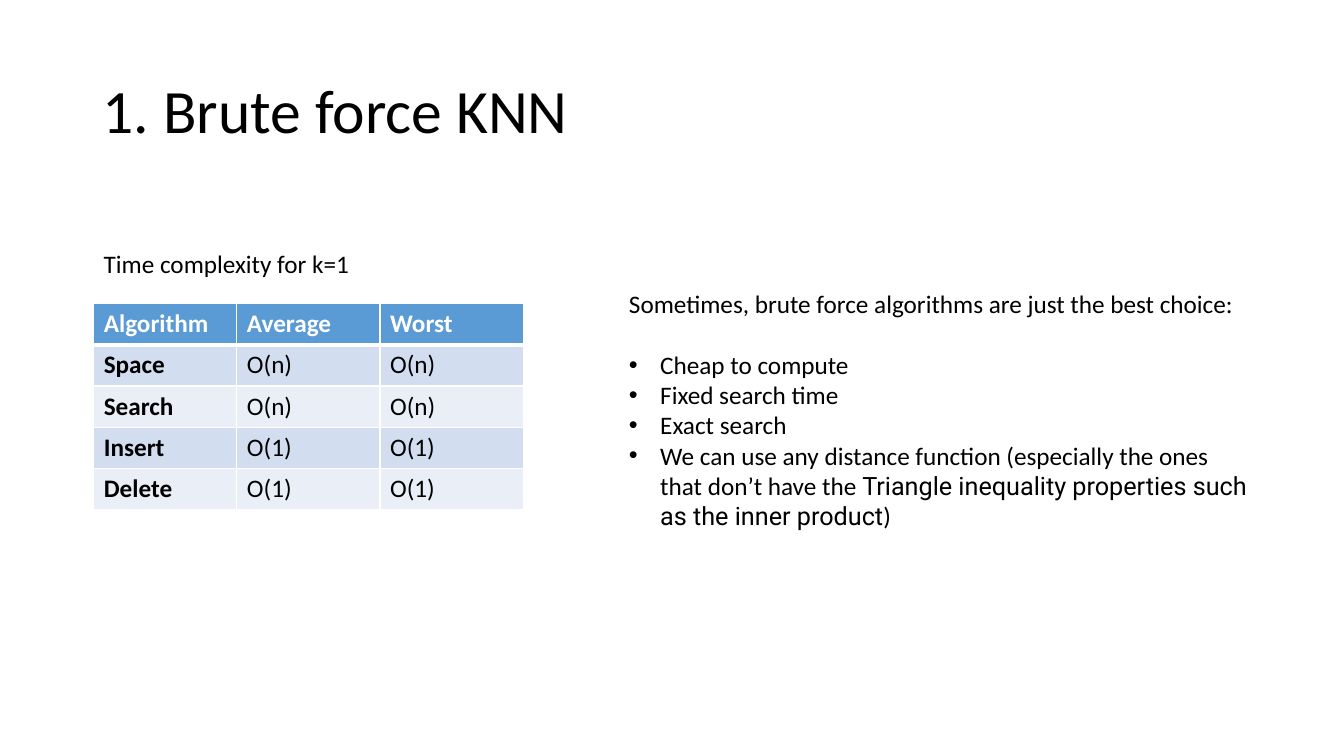
from dataclasses import dataclass

import pptx
import pptx.dml.color
import pptx.enum.text
import pptx.oxml
import pptx.oxml.ns
import pptx.util

Inches = pptx.util.Inches
Pt = pptx.util.Pt
RGBColor = pptx.dml.color.RGBColor
Anchor = pptx.enum.text.MSO_ANCHOR

BLACK = RGBColor(0x00, 0x00, 0x00)
WHITE = RGBColor(0xFF, 0xFF, 0xFF)
HEADER_BLUE = RGBColor(0x5B, 0x9B, 0xD5)
BAND_DARK = RGBColor(0xD2, 0xDE, 0xEF)
BAND_LIGHT = RGBColor(0xEA, 0xEF, 0xF7)

BODY_FONT = "Calibri"
ACCENT_FONT = "Roboto"
BODY_SIZE = 18
LINE_GAP = 22
BULLET_INDENT = Inches(0.31)
COLUMN_WIDTH = 1.42
ROW_HEIGHT = 0.41


@dataclass
class Span:
    text: str
    font: str = BODY_FONT


@dataclass
class Line:
    spans: list[Span]
    bullet: bool = False
    space_before: int = 0


@dataclass
class TextBlock:
    left: float
    top: float
    width: float
    height: float
    lines: list[Line]
    size: int = BODY_SIZE
    anchor: Anchor = Anchor.TOP
    line_spacing: float = 1.0


BLOCKS = [
    TextBlock(0.92, 0.4, 11.5, 1.45, [Line([Span("1. Brute force KNN")])],
              size=44, anchor=Anchor.MIDDLE, line_spacing=0.9),
    TextBlock(0.93, 2.41, 4.26, 0.4, [Line([Span("Time complexity for k=1")])]),
    TextBlock(6.14, 2.81, 6.4, 2.52, [
        Line([Span("Sometimes, brute force algorithms are just the best choice:")]),
        Line([Span("Cheap to compute")], bullet=True, space_before=LINE_GAP),
        Line([Span("Fixed search time")], bullet=True),
        Line([Span("Exact search")], bullet=True),
        Line([
            Span("We can use any distance function (especially the ones that don’t have the "),
            Span("Triangle inequality properties such as the inner product", ACCENT_FONT),
            Span(")"),
        ], bullet=True),
    ]),
]

COMPLEXITY = [
    ("Algorithm", "Average", "Worst"),
    ("Space", "O(n)", "O(n)"),
    ("Search", "O(n)", "O(n)"),
    ("Insert", "O(1)", "O(1)"),
    ("Delete", "O(1)", "O(1)"),
]


def add_bullet(para) -> None:
    properties = para._p.get_or_add_pPr()
    properties.set("marL", str(BULLET_INDENT))
    properties.set("indent", str(-BULLET_INDENT))
    namespace = pptx.oxml.ns.nsdecls("a")
    properties.append(pptx.oxml.parse_xml(f'<a:buFont {namespace} typeface="Arial"/>'))
    properties.append(pptx.oxml.parse_xml(f'<a:buChar {namespace} char="•"/>'))


def add_text(page, block: TextBlock) -> None:
    box = page.shapes.add_textbox(Inches(block.left), Inches(block.top),
                                  Inches(block.width), Inches(block.height))
    frame = box.text_frame
    frame.word_wrap = True
    frame.vertical_anchor = block.anchor
    for index, line in enumerate(block.lines):
        para = frame.add_paragraph() if index else frame.paragraphs[0]
        if line.bullet:
            add_bullet(para)
        para.line_spacing = block.line_spacing
        para.space_before = Pt(line.space_before)
        para.font.name = BODY_FONT
        para.font.size = Pt(block.size)
        para.font.color.rgb = BLACK
        for span in line.spans:
            run = para.add_run()
            run.text = span.text
            if span.font != BODY_FONT:
                run.font.name = span.font


def add_borders(cell, row: int) -> None:
    """Draw white cell borders, with a thick rule under the header."""
    widths = {"L": 1, "R": 1, "T": 3 if row == 1 else 1, "B": 3 if row == 0 else 1}
    properties = cell._tc.get_or_add_tcPr()
    for side, width in widths.items():
        properties.append(pptx.oxml.parse_xml(
            f'<a:ln{side} {pptx.oxml.ns.nsdecls("a")} w="{Pt(width)}">'
            f'<a:solidFill><a:srgbClr val="{WHITE}"/></a:solidFill></a:ln{side}>'))


def add_complexity_table(page, left: float, top: float) -> None:
    rows, columns = len(COMPLEXITY), len(COMPLEXITY[0])
    table = page.shapes.add_table(
        rows, columns, Inches(left), Inches(top),
        Inches(columns * COLUMN_WIDTH), Inches(rows * ROW_HEIGHT)).table
    for row, values in enumerate(COMPLEXITY):
        fill = HEADER_BLUE if row == 0 else BAND_DARK if row % 2 else BAND_LIGHT
        for column, value in enumerate(values):
            cell = table.cell(row, column)
            add_borders(cell, row)
            cell.fill.solid()
            cell.fill.fore_color.rgb = fill
            cell.text = value
            font = cell.text_frame.paragraphs[0].font
            font.name = BODY_FONT
            font.size = Pt(BODY_SIZE)
            font.bold = row == 0 or column == 0
            font.color.rgb = WHITE if row == 0 else BLACK


def main() -> None:
    deck = pptx.Presentation()
    deck.slide_width = Inches(13.33)
    deck.slide_height = Inches(7.5)
    page = deck.slides.add_slide(deck.slide_layouts[6])

    # Title, table caption and remarks
    for block in BLOCKS:
        add_text(page, block)

    # Time complexity table
    add_complexity_table(page, 0.93, 3.01)

    deck.save("out.pptx")


if __name__ == "__main__":
    main()
